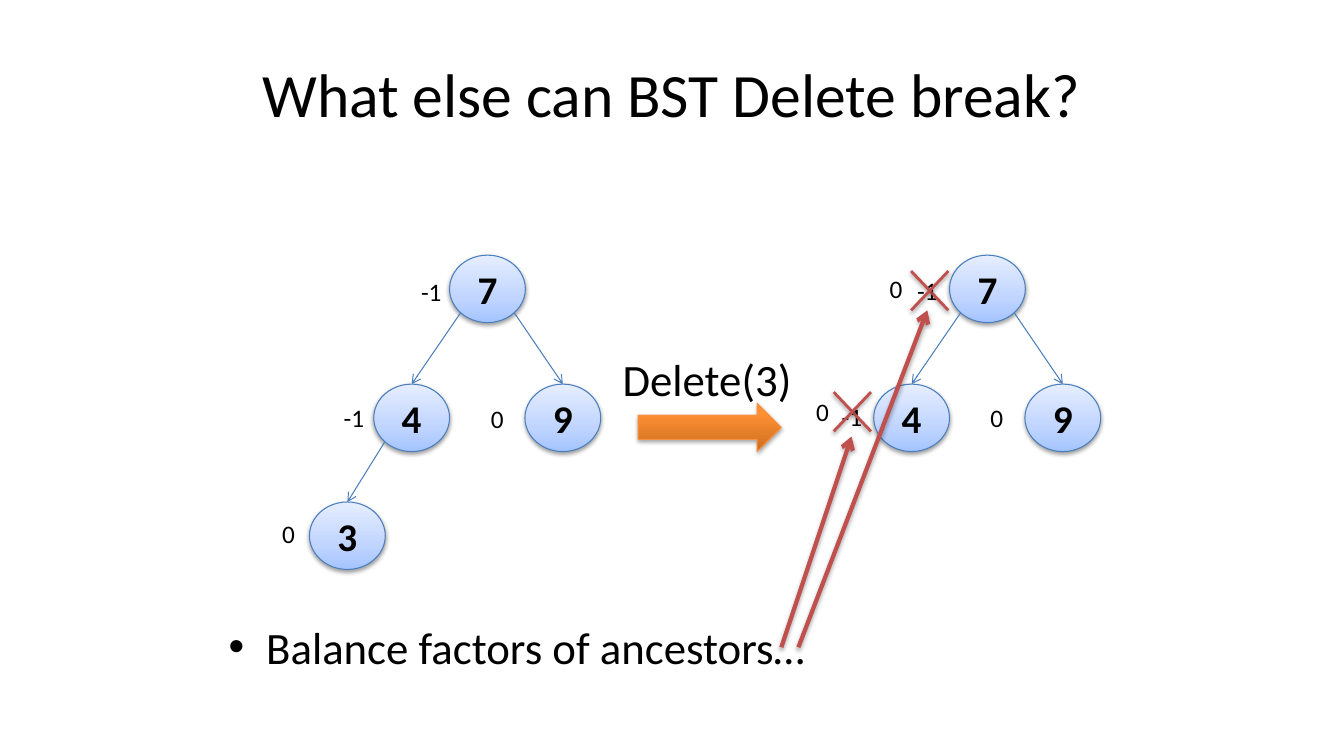
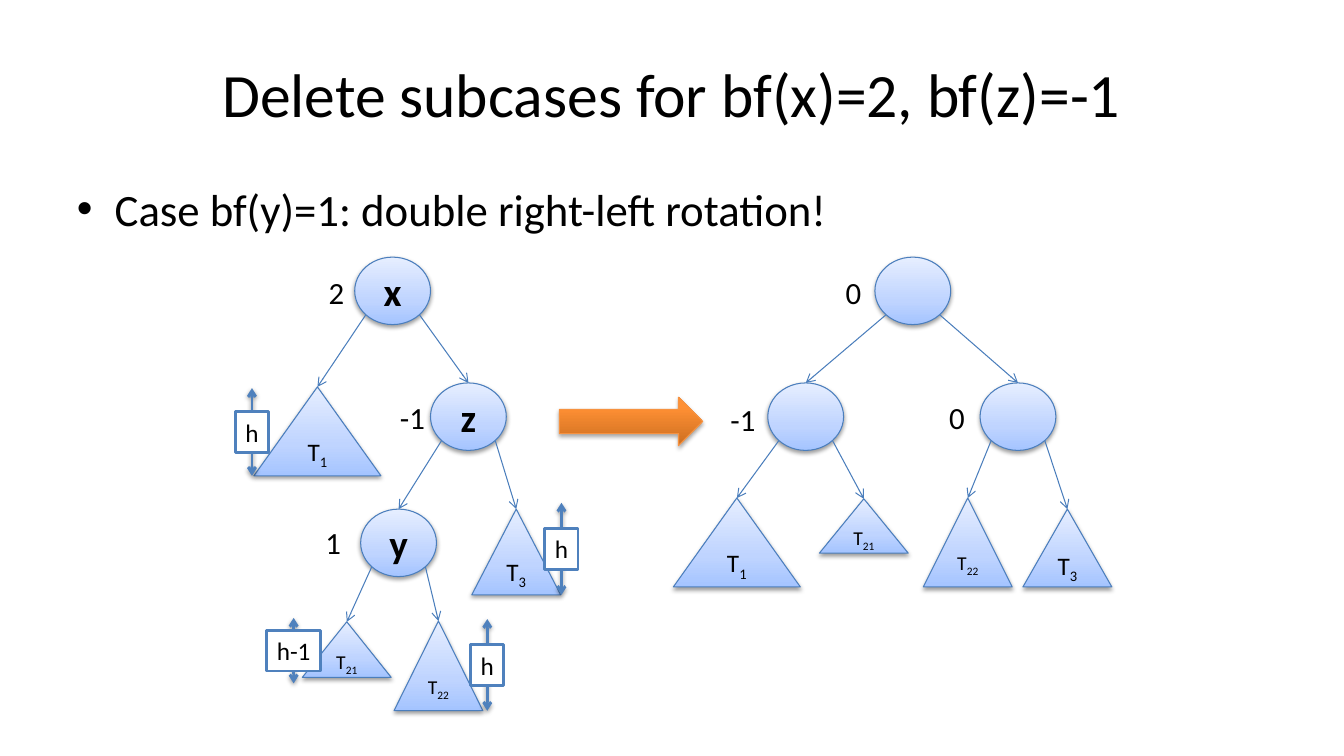
from dataclasses import dataclass
from math import cos, pi

from lxml.etree import SubElement
from pptx import Presentation
from pptx.dml.color import RGBColor
from pptx.enum.shapes import MSO_CONNECTOR, MSO_SHAPE
from pptx.enum.text import MSO_ANCHOR, MSO_AUTO_SIZE, PP_ALIGN
from pptx.oxml.ns import qn
from pptx.util import Cm, Pt


@dataclass(frozen=True)
class Theme:
    font: str = "Calibri"
    ink: str = "000000"
    paper: str = "FFFFFF"
    edge: str = "4B7EBC"
    measure: str = "4F81BD"
    strike: str = "C0504D"
    arrow_edge: str = "F69240"
    blue_stops: tuple = ((0, "A4C4FF"), (35, "BFD4FF"), (100, "E6EEFF"))
    orange_stops: tuple = ((0, "CC6E20"), (80, "FF9034"), (100, "FF9136"))
    # Shadow: opacity in percent, distance in EMU
    soft_shadow: tuple = (38, 20000)
    strong_shadow: tuple = (35, 23000)
    title_size: int = 44
    body_size: int = 32
    key_size: int = 28
    large_label: int = 22
    label_size: int = 18
    small_label: int = 14


THEME = Theme()
NODE_WIDTH, NODE_HEIGHT = 1.91, 1.7
ARROW_WIDTH, ARROW_HEIGHT = 3.61, 1.22
CROSS_WIDTH, CROSS_HEIGHT = 0.94, 0.99
CM_PER_POINT = 2.54 / 72
CHARACTER_EMS = {"-": 0.31, "D": 0.62, "e": 0.5, "l": 0.23, "t": 0.34, "(": 0.3, ")": 0.3}


def assign(target, formats):
    for name, value in formats.items():
        setattr(target, name, value)


def text_extent(text, size):
    """Return the width and height in cm of a one-line box with default insets."""
    ems = sum(CHARACTER_EMS.get(character, 0.51) for character in text)
    return 0.51 + ems * size * CM_PER_POINT, 0.25 + 1.22 * size * CM_PER_POINT


def add_shadow(effects, shadow):
    opacity, distance = shadow
    outer = SubElement(effects, qn("a:outerShdw"), blurRad="40000", dist=str(distance),
                       dir="5400000", rotWithShape="0")
    color = SubElement(outer, qn("a:srgbClr"), val=THEME.ink)
    SubElement(color, qn("a:alpha"), val=str(opacity * 1000))


def fill_gradient(shape, stops):
    shape.fill.gradient()
    shape.fill.gradient_angle = 90
    stop_list = shape._element.spPr.find(qn("a:gradFill")).find(qn("a:gsLst"))
    for stop in list(stop_list):
        stop_list.remove(stop)
    for position, color in stops:
        stop = SubElement(stop_list, qn("a:gs"), pos=str(position * 1000))
        SubElement(stop, qn("a:srgbClr"), val=color)


class TreeDeck:
    def __init__(self, theme):
        self.theme = theme
        self.deck = Presentation()
        assign(self.deck, {"slide_width": Cm(33.87), "slide_height": Cm(19.05)})
        self.page = None

    def new_page(self, title):
        self.page = self.deck.slides.add_slide(self.deck.slide_layouts[6])
        box = self.text_box(1.69, 0.76, 30.48, 3.18)
        assign(box.text_frame, {"word_wrap": True, "vertical_anchor": MSO_ANCHOR.MIDDLE})
        para = box.text_frame.paragraphs[0]
        para.alignment = PP_ALIGN.CENTER
        self.add_span(para, title, self.theme.title_size)

    def text_box(self, left, top, width, height):
        return self.page.shapes.add_textbox(Cm(left), Cm(top), Cm(width), Cm(height))

    def add_span(self, para, text, size, bold=False):
        span = para.add_run()
        span.text = text
        assign(span.font, {"name": self.theme.font, "size": Pt(size), "bold": bold})
        span.font.color.rgb = RGBColor.from_string(self.theme.ink)
        return span

    def bullet(self, text, left, top):
        box = self.text_box(left, top, 22.86, 1.8)
        box.text_frame.word_wrap = True
        para = box.text_frame.paragraphs[0]
        properties = para._p.get_or_add_pPr()
        properties.set("marL", str(Cm(0.95)))
        properties.set("indent", str(-Cm(0.95)))
        SubElement(properties, qn("a:buFont"), typeface="Arial")
        SubElement(properties, qn("a:buChar"), char="•")
        self.add_span(para, text, self.theme.body_size)

    def label(self, text, left, top, size):
        box = self.text_box(left, top, *text_extent(text, size))
        assign(box.text_frame, {"word_wrap": False, "auto_size": MSO_AUTO_SIZE.SHAPE_TO_FIT_TEXT})
        self.add_span(box.text_frame.paragraphs[0], text, size)

    def shape(self, kind, left, top, width, height, edge, weight=0.75, stops=None, shadow=None):
        shape = self.page.shapes.add_shape(kind, Cm(left), Cm(top), Cm(width), Cm(height))
        shape.shadow.inherit = False
        if shadow:
            add_shadow(shape._element.spPr.find(qn("a:effectLst")), shadow)
        if stops:
            fill_gradient(shape, stops)
        else:
            shape.fill.solid()
            shape.fill.fore_color.rgb = RGBColor.from_string(self.theme.paper)
        shape.line.color.rgb = RGBColor.from_string(edge)
        shape.line.width = Pt(weight)
        shape.text_frame.paragraphs[0].alignment = PP_ALIGN.CENTER
        return shape

    def tree_part(self, kind, left, top, width, height):
        return self.shape(kind, left, top, width, height, self.theme.edge,
                          stops=self.theme.blue_stops, shadow=self.theme.soft_shadow)

    def node(self, left, top, key=""):
        shape = self.tree_part(MSO_SHAPE.OVAL, left, top, NODE_WIDTH, NODE_HEIGHT)
        if key:
            self.add_span(shape.text_frame.paragraphs[0], key, self.theme.key_size, bold=True)
        return shape

    def subtree(self, index, left, top, height, width=2.24):
        shape = self.tree_part(MSO_SHAPE.ISOSCELES_TRIANGLE, left, top, width, height)
        frame = shape.text_frame
        assign(frame, {"margin_left": 0, "margin_right": 0, "word_wrap": False})
        size = self.theme.label_size if len(index) == 1 else self.theme.small_label
        para = frame.paragraphs[0]
        self.add_span(para, "T", size)
        subscript = self.add_span(para, index, size)
        subscript._r.get_or_add_rPr().set("baseline", "-25000")
        return shape

    def line(self, start, end, color, weight, ends=(), shadow=None):
        """Draw a line between two (x, y) lengths; ends names headEnd and tailEnd arrows."""
        line = self.page.shapes.add_connector(MSO_CONNECTOR.STRAIGHT, *start, *end)
        line.line.color.rgb = RGBColor.from_string(color)
        line.line.width = Pt(weight)
        for name in ends:
            SubElement(line.line._get_or_add_ln(), qn(f"a:{name}"), type="arrow")
        effects = SubElement(line._element.spPr, qn("a:effectLst"))
        if shadow:
            add_shadow(effects, shadow)
        return line

    def branch(self, parent, child):
        """Join the lower left or right of a node to the top of its child."""
        center = parent.left + parent.width // 2
        child_center = child.left + child.width // 2
        side = -1 if child_center < center else 1
        reach = cos(pi / 4) / 2
        start = (int(center + side * reach * parent.width),
                 int(parent.top + (0.5 + reach) * parent.height))
        line = self.line(start, (child_center, child.top), self.theme.edge, 0.75, ["tailEnd"])
        line.end_connect(child, 0)

    def branches(self, pairs):
        for parent, child in pairs:
            self.branch(parent, child)

    def step_arrow(self, left, top):
        self.shape(MSO_SHAPE.RIGHT_ARROW, left, top, ARROW_WIDTH, ARROW_HEIGHT,
                   self.theme.arrow_edge, stops=self.theme.orange_stops,
                   shadow=self.theme.strong_shadow)

    def height_mark(self, text, x, top, bottom):
        self.line((Cm(x), Cm(top)), (Cm(x), Cm(bottom)), self.theme.measure, 2,
                  ["headEnd", "tailEnd"], self.theme.soft_shadow)
        size = self.theme.label_size
        width, height = text_extent(text, size)
        box = self.shape(MSO_SHAPE.RECTANGLE, x - width / 2, (top + bottom - height) / 2,
                         width, height, self.theme.measure, 2)
        box.text_frame.word_wrap = False
        self.add_span(box.text_frame.paragraphs[0], text, size)

    def pointer(self, start_x, start_y, end_x, end_y):
        self.line((Cm(start_x), Cm(start_y)), (Cm(end_x), Cm(end_y)), self.theme.strike, 3,
                  ["tailEnd"], self.theme.strong_shadow)

    def cross(self, left, top):
        right, bottom = left + CROSS_WIDTH, top + CROSS_HEIGHT
        for start_x, end_x in ((left, right), (right, left)):
            self.line((Cm(start_x), Cm(top)), (Cm(end_x), Cm(bottom)), self.theme.strike, 2,
                      shadow=self.theme.soft_shadow)


def build_balance_page(show):
    show.new_page("What else can BST Delete break?")
    show.bullet("Balance factors of ancestors…", 5.51, 15.48)
    for shift in (0, 12.6):
        root = show.node(11.33 + shift, 6.43, "7")
        left = show.node(9.42 + shift, 9.68, "4")
        right = show.node(13.23 + shift, 9.68, "9")
        show.branches([(root, left), (root, right)])
        if not shift:
            show.branch(left, show.node(7.8, 12.65, "3"))
    show.step_arrow(16.08, 10.16)
    show.label("Delete(3)", 15.44, 8.74, THEME.body_size)
    for text, x, y in (
        ("-1", 10.36, 6.83), ("-1", 8.41, 10.01), ("0", 6.86, 12.93), ("0", 12.12, 10.03),
        ("-1", 22.86, 6.81), ("-1", 20.96, 9.98), ("0", 24.71, 10.01),
        ("0", 20.32, 9.86), ("0", 22.17, 6.76),
    ):
        show.label(text, x, y, THEME.label_size)
    show.pointer(19.69, 16.31, 21.46, 11)
    show.pointer(20.12, 16.31, 23.37, 7.82)
    show.cross(22.96, 6.83)
    show.cross(21.01, 9.88)


def build_rotation_page(show):
    show.new_page("Delete subcases for bf(x)=2, bf(z)=-1")
    show.bullet("Case bf(y)=1: double right-left rotation!", 1.69, 4.45)

    x = show.node(8.94, 6.48, "x")
    z = show.node(10.85, 9.65, "z")
    y = show.node(9.09, 12.83, "y")
    show.branches([
        (x, show.subtree("1", 6.4, 9.75, 2.24, width=3.2)), (x, z),
        (z, y), (z, show.subtree("3", 11.89, 12.83, 2.16)),
        (y, show.subtree("21", 7.62, 15.67, 1.4)), (y, show.subtree("22", 9.93, 15.65, 2.26)),
    ])

    root = show.node(22.05, 6.48)
    left = show.node(19.35, 9.65)
    right = show.node(24.7, 9.65)
    show.branches([
        (root, left), (root, right),
        (left, show.subtree("1", 16.97, 12.55, 2.24, width=3.2)),
        (left, show.subtree("21", 20.65, 12.57, 1.37)),
        (right, show.subtree("22", 23.27, 12.55, 2.24)),
        (right, show.subtree("3", 25.78, 12.83, 1.96)),
    ])

    show.step_arrow(14.1, 10.01)
    for text, label_x, label_y in (
        ("2", 8.03, 6.76), ("-1", 9.83, 9.91), ("1", 7.95, 13.08),
        ("0", 21.06, 6.76), ("-1", 18.16, 9.98), ("0", 23.67, 9.91),
    ):
        show.label(text, label_x, label_y, THEME.large_label)
    for text, mark_x, top, bottom in (
        ("h", 14.15, 12.67, 14.99), ("h", 6.35, 9.78, 11.99),
        ("h", 12.28, 15.6, 17.91), ("h-1", 7.4, 15.57, 17.22),
    ):
        show.height_mark(text, mark_x, top, bottom)


def main():
    show = TreeDeck(THEME)
    build_balance_page(show)
    build_rotation_page(show)
    show.deck.save("out.pptx")


if __name__ == "__main__":
    main()
